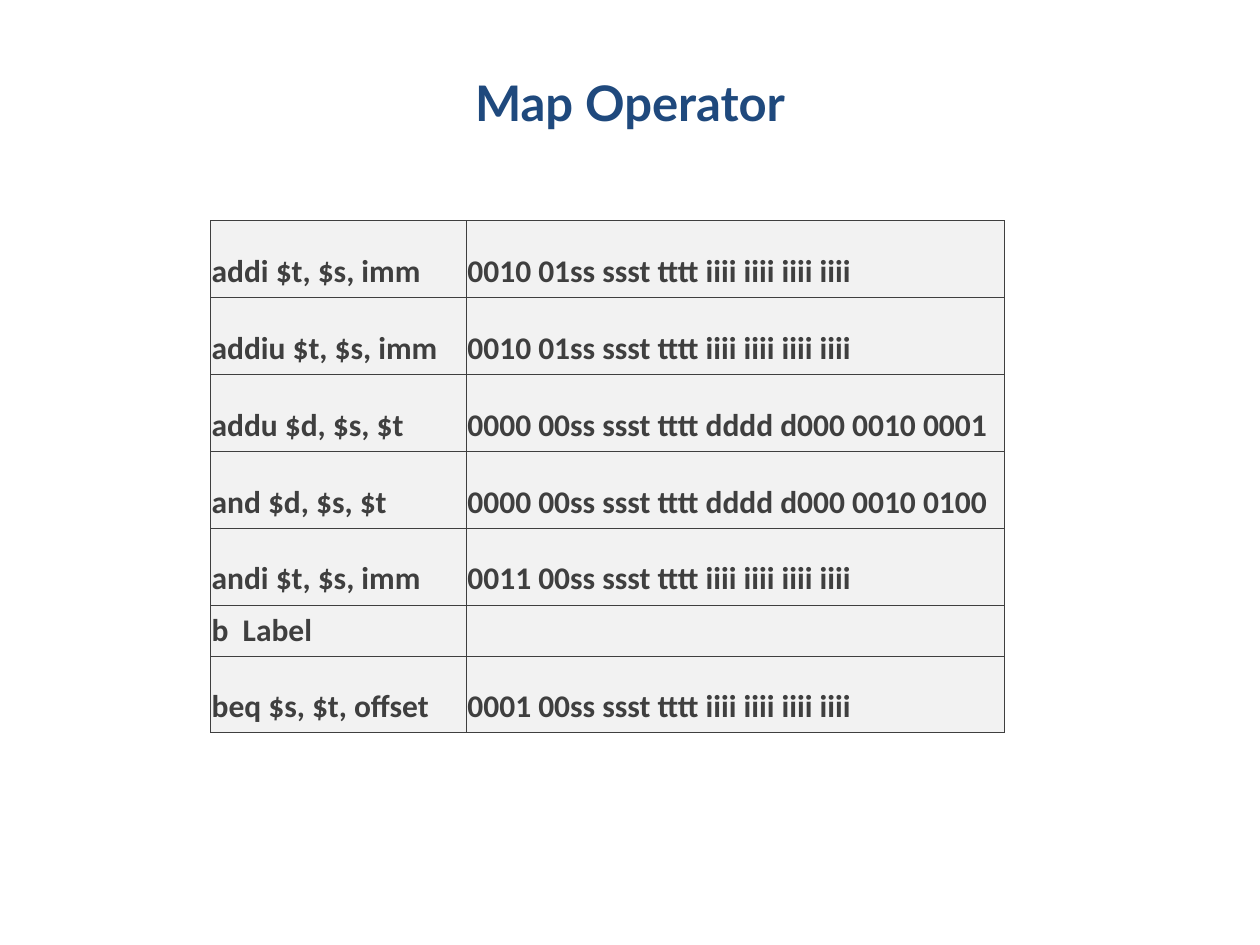
"""Build the Map Operator slide: a table of instructions and their encodings."""
from lxml import etree
from pptx import Presentation
from pptx.dml.color import RGBColor
from pptx.enum.text import MSO_ANCHOR, PP_ALIGN
from pptx.oxml.ns import qn
from pptx.util import Inches, Pt

TOP, BOTTOM = MSO_ANCHOR.TOP, MSO_ANCHOR.BOTTOM
LEFT, CENTER = PP_ALIGN.LEFT, PP_ALIGN.CENTER
NAVY = RGBColor(0x1F, 0x49, 0x7D)
DARK = RGBColor(0x3F, 0x3F, 0x3F)
PALE = RGBColor(0xF2, 0xF2, 0xF2)

TITLE = "Map Operator"
INSTRUCTIONS = [
    ("addi $t, $s, imm", "0010 01ss ssst tttt iiii iiii iiii iiii"),
    ("addiu $t, $s, imm", "0010 01ss ssst tttt iiii iiii iiii iiii"),
    ("addu $d, $s, $t", "0000 00ss ssst tttt dddd d000 0010 0001"),
    ("and $d, $s, $t", "0000 00ss ssst tttt dddd d000 0010 0100"),
    ("andi $t, $s, imm", "0011 00ss ssst tttt iiii iiii iiii iiii"),
    ("b  Label", ""),
    ("beq $s, $t, offset", "0001 00ss ssst tttt iiii iiii iiii iiii"),
]
COL_WIDTHS = (2.03, 4.27)
ROW_HEIGHT, SHORT_ROW = 0.61, 0.33
BORDER_WIDTH = 0.23


def write(tf, text, font="Calibri", size=18, color=DARK, align=LEFT, spacing=1.0):
    p = tf.paragraphs[0]
    p.alignment, p.line_spacing = align, spacing
    p.font.size = Pt(size)
    if text:
        r = p.add_run()
        r.text = text
        r.font.name, r.font.size, r.font.bold = font, Pt(size), True
        r.font.color.rgb = color


def add_borders(cell):
    tc_pr = cell._tc.get_or_add_tcPr()
    for i, side in enumerate(("a:lnL", "a:lnR", "a:lnT", "a:lnB")):
        ln = etree.Element(qn(side), w=str(Pt(BORDER_WIDTH)))
        fill = etree.SubElement(ln, qn("a:solidFill"))
        etree.SubElement(fill, qn("a:srgbClr"), val=str(DARK))
        tc_pr.insert(i, ln)


def add_title(s):
    sp = s.shapes.title
    sp.left, sp.top, sp.width, sp.height = map(Inches, (0.75, 0.58, 8.5, 0.71))
    tf = sp.text_frame
    tf.word_wrap, tf.vertical_anchor = True, TOP
    write(tf, TITLE, font="Lato", size=28, color=NAVY, align=CENTER, spacing=0.9)


def add_instruction_table(s):
    heights = [ROW_HEIGHT if code else SHORT_ROW for _, code in INSTRUCTIONS]
    table = s.shapes.add_table(
        len(heights), len(COL_WIDTHS), Inches(1.67), Inches(1.75),
        Inches(sum(COL_WIDTHS)), Inches(sum(heights))).table
    table.first_row = table.horz_banding = False
    for col, width in zip(table.columns, COL_WIDTHS):
        col.width = Inches(width)
    for row, height, texts in zip(table.rows, heights, INSTRUCTIONS):
        row.height = Inches(height)
        for cell, text in zip(row.cells, texts):
            cell.margin_left = cell.margin_right = Inches(0.01)
            cell.margin_top = cell.margin_bottom = Inches(0.05)
            cell.vertical_anchor = BOTTOM
            cell.fill.solid()
            cell.fill.fore_color.rgb = PALE
            add_borders(cell)
            write(cell.text_frame, text)


def main():
    prs = Presentation()
    prs.slide_width, prs.slide_height = Inches(10), Inches(7.5)
    s = prs.slides.add_slide(prs.slide_layouts[5])
    add_instruction_table(s)
    add_title(s)
    prs.save("out.pptx")


if __name__ == "__main__":
    main()
